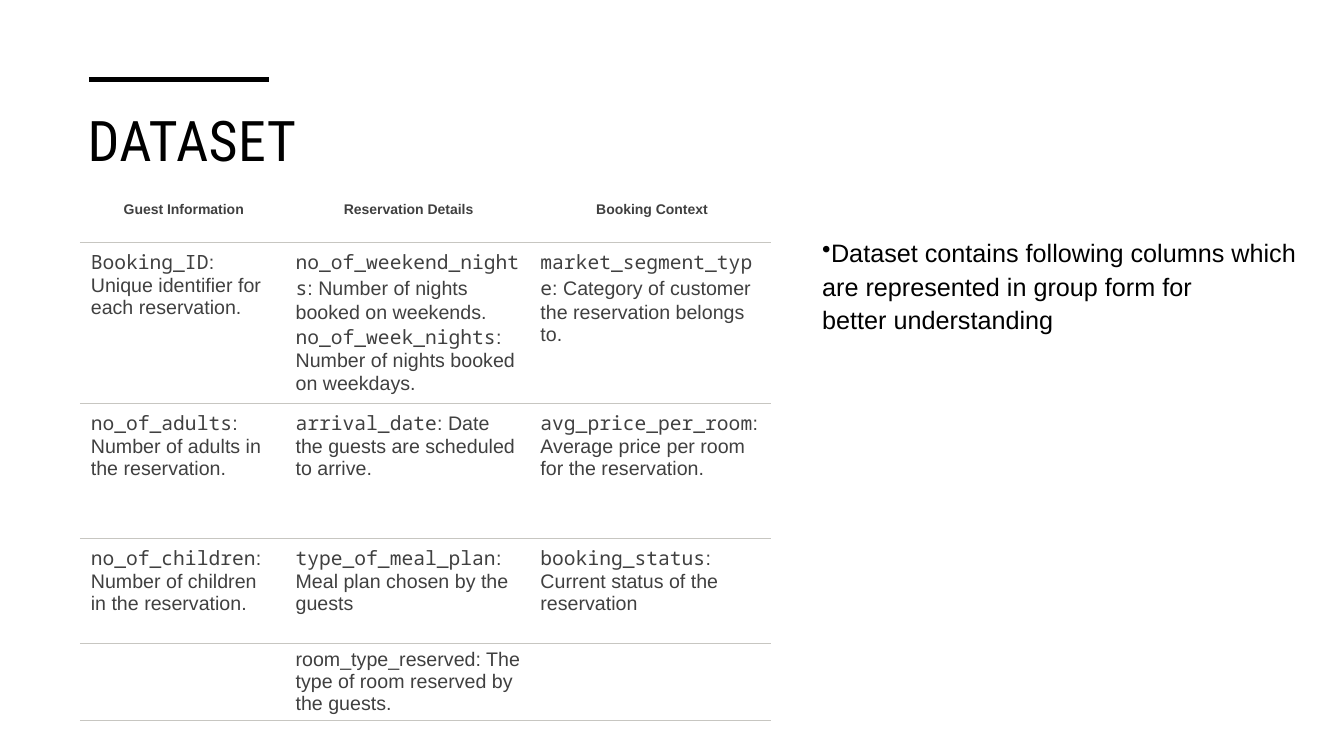
from lxml import etree
from pptx import Presentation
from pptx import util as u
from pptx.dml.color import RGBColor
from pptx.enum import shapes, text
from pptx.oxml import ns

BLACK = RGBColor(0, 0, 0)
GREY = RGBColor(0x40, 0x40, 0x40)
RULE = RGBColor(0xC7, 0xC6, 0xC1)
MONO = "Noto Sans Mono"

HEADS = ["Guest\u00a0Information", "Reservation Details", "Booking Context"]
ROWS = [
    [[("Booking_ID", ": Unique identifier for each reservation.")],
     [("no_of_weekend_nights", ": Number of nights booked on weekends."),
      ("no_of_week_nights", ": Number of nights booked on weekdays.")],
     [("market_segment_type", ": Category of customer the reservation belongs to.")]],
    [[("no_of_adults", ": Number of adults in the reservation.")],
     [("arrival_date", ": Date the guests are scheduled to arrive.")],
     [("avg_price_per_room", ": Average price per room for the reservation.")]],
    [[("no_of_children", ": Number of children in the reservation.")],
     [("type_of_meal_plan", ": Meal plan chosen by the guests")],
     [("booking_status", ": Current status of the reservation")]],
    [[], [("", "room_type_reserved: The type of room reserved by the guests.")], []],
]
WIDTHS = [5.16, 6.17, 6.1]
HEIGHTS = [1.17, 4.06, 3.4, 2.64, 1.93]


def apply(item, form):
    for key, val in form.items():
        setattr(item, key, val)


class Deck:
    """Hold the style and the current slide, and draw its elements."""

    head = dict(name="Arial", size=u.Pt(10), bold=True)
    cell = dict(name="Arial", size=u.Pt(14), bold=False)
    code = dict(cell, name=MONO)
    title = dict(name="Roboto Condensed", size=u.Pt(40))
    body = dict(name="Arial", size=u.Pt(18))
    inset = dict(margin_left=u.Cm(0.28), margin_right=u.Cm(0.2),
                 margin_top=u.Cm(0.13), margin_bottom=u.Cm(0.13))

    def __init__(self):
        self.prs = Presentation()
        apply(self.prs, dict(slide_width=u.Cm(33.87), slide_height=u.Cm(19.05)))
        self.slide = self.prs.slides.add_slide(self.prs.slide_layouts[6])

    def run(self, para, words, form, color):
        run = para.add_run()
        run.text = words
        apply(run.font, form)
        run.font.color.rgb = color
        return run

    def box(self, area, words, form, bullet=False, track=0):
        frame = self.slide.shapes.add_textbox(*map(u.Cm, area)).text_frame
        apply(frame, dict(word_wrap=True, auto_size=text.MSO_AUTO_SIZE.NONE))
        para = frame.paragraphs[0]
        if bullet:
            props = para._p.get_or_add_pPr()
            props.set("marL", "0")
            props.set("indent", str(-u.Cm(0.64)))
            etree.SubElement(props, ns.qn("a:buChar")).set("char", "•")
            apply(para, dict(line_spacing=1.1, space_after=u.Pt(6)))
        run = self.run(para, words, form, BLACK)
        if track:
            run.font._element.set("spc", str(track))

    def line(self, left, right, top, width):
        bar = self.slide.shapes.add_connector(
            shapes.MSO_CONNECTOR.STRAIGHT, *map(u.Cm, (left, top, right, top)))
        bar.line.color.rgb = BLACK
        bar.line.width = u.Pt(width)
        etree.SubElement(bar._element.spPr, ns.qn("a:effectLst"))

    def edges(self, cell, first):
        cell.fill.background()
        props = cell._tc.get_or_add_tcPr()
        for spot, side in enumerate("LRTB"):
            edge = etree.Element(ns.qn("a:ln" + side), w=str(u.Pt(0.75)))
            if side in "LR" or (side == "T" and first):
                etree.SubElement(edge, ns.qn("a:noFill"))
            else:
                fill = etree.SubElement(edge, ns.qn("a:solidFill"))
                etree.SubElement(fill, ns.qn("a:srgbClr"), val=str(RULE))
            props.insert(spot, edge)

    def table(self, left, top):
        area = map(u.Cm, (left, top, sum(WIDTHS), sum(HEIGHTS)))
        grid = self.slide.shapes.add_table(len(HEIGHTS), len(WIDTHS), *area).table
        apply(grid, dict(first_row=False, horz_banding=False))
        for col, width in zip(grid.columns, WIDTHS):
            col.width = u.Cm(width)
        for row, height in zip(grid.rows, HEIGHTS):
            row.height = u.Cm(height)
            for cell in row.cells:
                apply(cell, self.inset)
                self.edges(cell, row is grid.rows[0])
        for col, words in enumerate(HEADS):
            cell = grid.cell(0, col)
            self.edges_top(cell)
            para = cell.text_frame.paragraphs[0]
            para.alignment = text.PP_ALIGN.CENTER
            self.run(para, words, self.head, GREY)
        for row, line in enumerate(ROWS, 1):
            for col, items in enumerate(line):
                self.fill(grid.cell(row, col).text_frame, items)

    def edges_top(self, cell):
        edge = cell._tc.tcPr.find(ns.qn("a:lnT"))
        for child in list(edge):
            edge.remove(child)
        etree.SubElement(edge, ns.qn("a:noFill"))

    def fill(self, frame, items):
        for spot, (name, note) in enumerate(items):
            para = frame.add_paragraph() if spot else frame.paragraphs[0]
            if name:
                self.run(para, name, self.code, GREY)
            self.run(para, note, self.cell, GREY)


def main():
    deck = Deck()
    deck.box((1.96, 2.54, 29.95, 3.28), "DATASET", deck.title, track=30)
    deck.box((20.47, 5.79, 13.39, 10.49),
             "Dataset contains following columns\u00a0which are\u00a0represented "
             "in group form\u00a0for better\u00a0understanding", deck.body, bullet=True)
    deck.line(2.24, 6.78, 2.01, 3.5)
    deck.table(2.01, 4.95)
    deck.prs.save("out.pptx")


if __name__ == "__main__":
    main()
